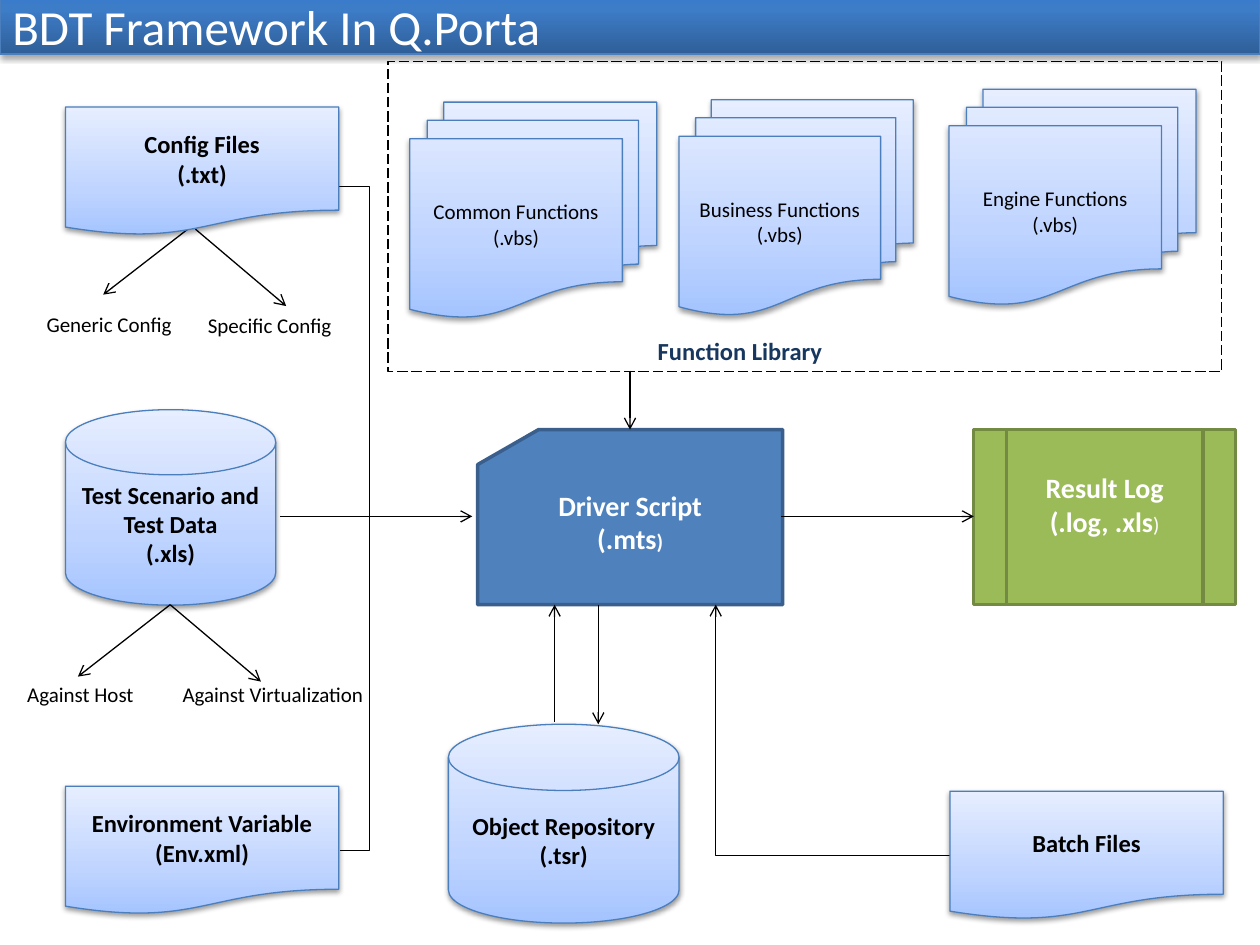
import pptx
import pptx.util
import pptx.dml.color
import pptx.enum.dml
import pptx.enum.shapes
import pptx.enum.text
import pptx.oxml
import pptx.oxml.ns
from lxml import etree

Cm, Pt = pptx.util.Cm, pptx.util.Pt
SHAPE = pptx.enum.shapes.MSO_SHAPE
LINK = pptx.enum.shapes.MSO_CONNECTOR
ALIGN = pptx.enum.text.PP_ALIGN
ANCHOR = pptx.enum.text.MSO_ANCHOR
qn = pptx.oxml.ns.qn

COLORS = {
    "black": "000000", "white": "FFFFFF", "navy": "17375E",
    "edge": "4B7EBC", "blue": "4F81BD", "blue_edge": "3A5F8C",
    "green": "9BBB59", "green_edge": "738A42",
}
PALE = [(0, "A4C4FF"), (35, "BFD4FF"), (100, "E6EEFF")]
BAR = [(0, "2F5F99"), (80, "3D7CC7"), (100, "3A7CCB")]


class Diagram:
    """Draws the styled elements of a framework diagram on one slide."""

    font = "Calibri"

    def __init__(self, prs):
        self.slide = prs.slides.add_slide(prs.slide_layouts[6])

    def color(self, name):
        return pptx.dml.color.RGBColor.from_string(COLORS[name])

    def text(self, tf, lines, size, color, bold=False, align=ALIGN.CENTER):
        tf.word_wrap = True
        for i, line in enumerate(lines):
            p = tf.paragraphs[0] if i == 0 else tf.add_paragraph()
            p.alignment = align
            p.font.name, p.font.size, p.font.bold = self.font, Pt(size), bold
            p.font.color.rgb = self.color(color)
            p.add_run().text = line
        return p

    def shape(self, kind, box, edge="edge", width=0.75):
        sp = self.slide.shapes.add_shape(kind, *map(Cm, box))
        sp.shadow.inherit = False
        sp.line.color.rgb = self.color(edge)
        sp.line.width = Pt(width)
        sp.text_frame.vertical_anchor = ANCHOR.MIDDLE
        return sp

    def glossy(self, kind, box, lines, size=14, color="black", bold=True,
               align=ALIGN.CENTER, stops=PALE, alpha=38, drop=1.6):
        sp = self.shape(kind, box)
        sp.fill.gradient()
        sp.fill.gradient_angle = 90
        props = sp._element.spPr
        gs_list = props.find(".//" + qn("a:gsLst"))
        for gs in list(gs_list):
            gs_list.remove(gs)
        for pos, value in stops:
            gs = etree.SubElement(gs_list, qn("a:gs"), pos=str(pos * 1000))
            etree.SubElement(gs, qn("a:srgbClr"), val=value)
        shadow = etree.SubElement(
            props.find(qn("a:effectLst")), qn("a:outerShdw"), blurRad=str(int(Pt(3.1))),
            dist=str(int(Pt(drop))), dir="5400000", rotWithShape="0")
        clr = etree.SubElement(shadow, qn("a:srgbClr"), val=COLORS["black"])
        etree.SubElement(clr, qn("a:alpha"), val=str(alpha * 1000))
        self.text(sp.text_frame, lines, size, color, bold, align)

    def solid(self, kind, box, fill, lines, bold_tail):
        sp = self.shape(kind, box, fill + "_edge", 2)
        sp.fill.solid()
        sp.fill.fore_color.rgb = self.color(fill)
        sp.text_frame.margin_bottom = Cm(0.64)
        p = self.text(sp.text_frame, lines, 16, "white", True)
        r = p.add_run()
        r.text = ")"
        r.font.size, r.font.bold = Pt(12), bold_tail

    def frame(self, box, title):
        sp = self.shape(SHAPE.RECTANGLE, box, "black")
        sp.fill.background()
        sp.line.dash_style = pptx.enum.dml.MSO_LINE.LONG_DASH
        tf = sp.text_frame
        tf.vertical_anchor = ANCHOR.BOTTOM
        tf.margin_left = Cm(5.44)
        self.text(tf, [title], 14, "navy", True, ALIGN.LEFT)

    def label(self, left, top, width, text):
        sp = self.slide.shapes.add_textbox(*map(Cm, (left, top, width, 0.76)))
        self.text(sp.text_frame, [text], 12, "black", align=ALIGN.LEFT)

    def link(self, x1, y1, x2, y2, kind=LINK.STRAIGHT, width=0.75, arrow=True):
        sp = self.slide.shapes.add_connector(kind, *map(Cm, (x1, y1, x2, y2)))
        sp.line.color.rgb = self.color("black")
        sp.line.width = Pt(width)
        props = sp._element.spPr
        if arrow:
            etree.SubElement(props.find(qn("a:ln")), qn("a:tailEnd"), type="arrow")
        etree.SubElement(props, qn("a:effectLst"))
        return props.find(qn("a:prstGeom"))

    def corner(self, *ends):
        self.link(*ends, kind=LINK.ELBOW).set("prst", "bentConnector2")

    def bracket(self, x1, y1, x2, y2, via):
        geom = self.link(x1, y1, x2, y2, LINK.ELBOW, 0.25, False)
        ratio = round((via - x1) / (x2 - x1) * 100000)
        guides = geom.find(qn("a:avLst"))
        if guides is None:
            guides = etree.SubElement(geom, qn("a:avLst"))
        etree.SubElement(guides, qn("a:gd"), name="adj1", fmla=f"val {ratio}")


prs = pptx.Presentation()
prs.slide_width, prs.slide_height = Cm(25.4), Cm(19.05)
d = Diagram(prs)

d.glossy(SHAPE.RECTANGLE, (0, -0.03, 25.4, 1.12), ["BDT Framework In Q.Porta"],
         28, "white", False, ALIGN.LEFT, BAR, 35, 1.8)
d.frame((7.82, 1.24, 16.81, 6.25), "Function Library")
d.solid(SHAPE.FLOWCHART_CARD, (9.63, 8.66, 6.15, 3.53), "blue",
        ["Driver Script", "(.mts"], True)
d.solid(SHAPE.FLOWCHART_PREDEFINED_PROCESS, (19.63, 8.66, 5.28, 3.53), "green",
        ["Result Log", "(.log, .xls"], False)

for box, lines in [
    ((1.32, 8.26, 4.24, 3.94), ["Test Scenario and Test Data", "(.xls)"]),
    ((9.04, 14.6, 4.65, 4.01), ["Object Repository (.tsr)"]),
]:
    d.glossy(SHAPE.FLOWCHART_MAGNETIC_DISK, box, lines)

for name, left, top, width in [("Common", 8.26, 2.06, 4.98),
                               ("Business", 13.69, 2.01, 4.72),
                               ("Engine", 19.13, 1.8, 4.98)]:
    d.glossy(SHAPE.FLOWCHART_MULTIDOCUMENT, (left, top, width, 4.34),
             [f"{name} Functions", "(.vbs)"], 12, bold=False)

for ends in [
    (3.43, 12.19, 5.26, 13.74), (3.43, 12.19, 1.57, 13.64),
    (3.94, 4.5, 2.08, 5.94), (3.94, 4.62, 5.77, 6.17),
    (5.64, 10.41, 9.52, 10.41), (15.75, 10.41, 19.63, 10.41),
    (12.7, 7.47, 12.7, 8.66), (12.06, 12.19, 12.06, 14.6),
    (11.18, 14.55, 11.18, 12.19),
]:
    d.link(*ends)
d.bracket(6.82, 3.76, 6.86, 17.15, via=7.44)
d.corner(19.15, 17.25, 14.43, 12.19)

for left, top, lines in [(1.32, 2.16, ["Config Files", "(.txt)"]),
                         (1.32, 15.85, ["Environment Variable", "(Env.xml)"]),
                         (19.15, 15.95, ["Batch Files"])]:
    d.glossy(SHAPE.FLOWCHART_DOCUMENT, (left, top, 5.51, 2.59), lines)

for label in [(0.69, 6.15, 3.25, "Generic Config"),
              (3.94, 6.17, 3.48, "Specific Config"),
              (0.3, 13.61, 3.51, "Against Host"),
              (3.43, 13.61, 4.39, "Against Virtualization")]:
    d.label(*label)

prs.save("out.pptx")
